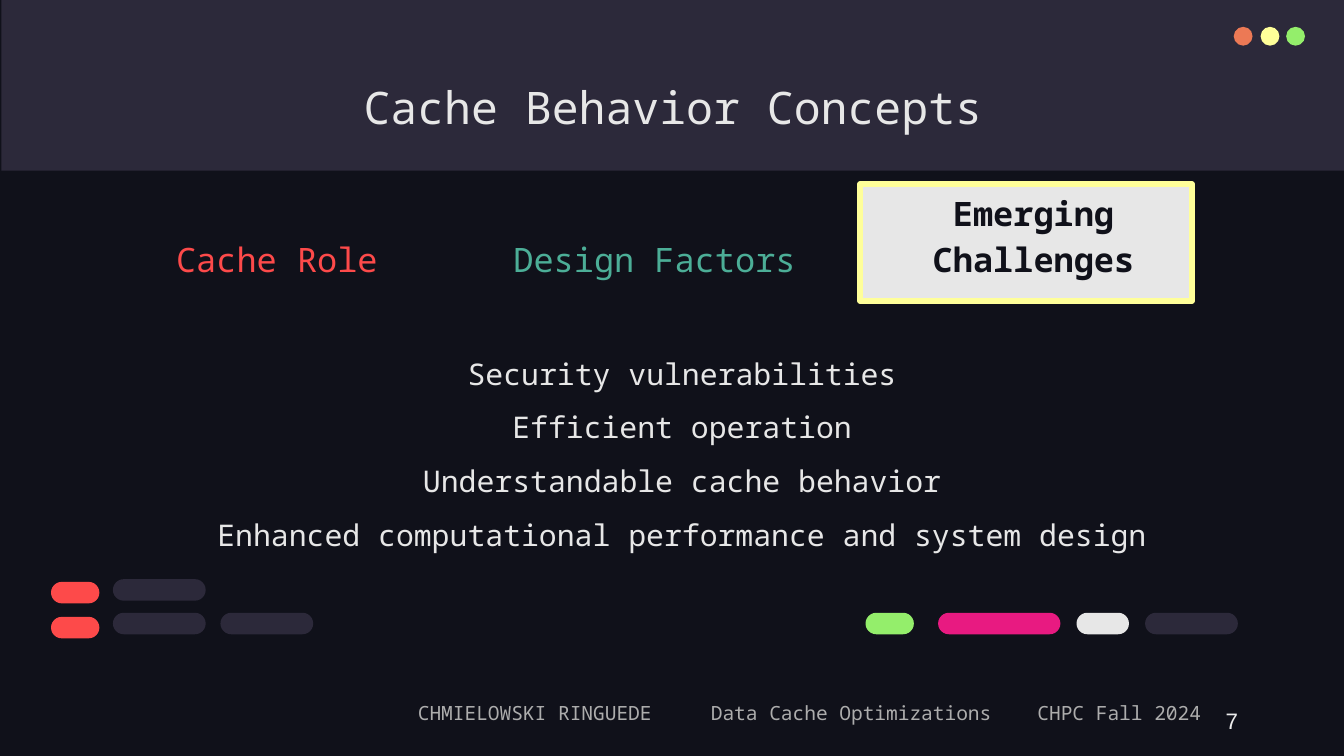
from pptx import Presentation
from pptx.dml.color import RGBColor
from pptx.enum.shapes import MSO_SHAPE
from pptx.enum.text import MSO_ANCHOR, MSO_AUTO_SIZE, PP_ALIGN
from pptx.oxml.ns import qn
from pptx.util import Inches, Pt
from lxml.etree import SubElement

WIDE = 10
HIGH = WIDE * 9 / 16
COLORS = {
    "night": "10111A", "slate": "2C293A", "light": "E7E7E7", "gray": "ADADAD",
    "orange": "EC7955", "yellow": "FFFF99", "green": "94EE6B", "red": "FD4A4A",
    "teal": "4CAE97", "pink": "E81A81", "page": "ECECEC",
}
MONO = "Noto Sans Mono"

TITLE = "Cache Behavior Concepts"
TABS = [
    (0.74, ["Cache Role"], "red", False),
    (3.55, ["Design Factors"], "teal", False),
    (6.37, ["Emerging", "Challenges"], "night", True),
]
POINTS = [
    "Security vulnerabilities",
    "Efficient operation",
    "Understandable cache behavior",
    "Enhanced computational performance and system design",
]
FOOTER = ["CHMIELOWSKI RINGUEDE", "Data Cache Optimizations", "CHPC Fall 2024"]
STOPS = [2.18, 4.61]
DOTS = [(9.18, "orange"), (9.38, "yellow"), (9.57, "green")]
PILLS = [
    (0.38, 4.33, 0.36, "red"),
    (0.38, 4.59, 0.36, "red"),
    (0.84, 4.56, 0.69, "slate"),
    (0.84, 4.31, 0.69, "slate"),
    (1.64, 4.56, 0.69, "slate"),
    (6.44, 4.56, 0.36, "green"),
    (6.98, 4.56, 0.91, "pink"),
    (8.01, 4.56, 0.39, "light"),
    (8.52, 4.56, 0.69, "slate"),
]


def paint(name):
    return RGBColor.from_string(COLORS[name])


def write(shape, lines, size=18, color="light", font=MONO, bold=False,
          align=PP_ALIGN.CENTER, anchor=MSO_ANCHOR.TOP, space=1.0,
          left=0.1, stops=()):
    frame = shape.text_frame
    frame.word_wrap = True
    frame.auto_size = MSO_AUTO_SIZE.NONE
    frame.vertical_anchor = anchor
    frame.margin_left = Inches(left)
    frame.margin_right = frame.margin_top = frame.margin_bottom = Inches(0.1)
    frame.text = "\n".join(lines)
    for para in frame.paragraphs:
        para.alignment = align
        para.line_spacing = space
        if stops:
            tabs = SubElement(para._p.get_or_add_pPr(), qn("a:tabLst"))
            for stop in stops:
                SubElement(tabs, qn("a:tab"), pos=str(Inches(stop)), algn="l")
        for run in para.runs:
            run.font.name = font
            run.font.size = Pt(size)
            run.font.bold = bold
            run.font.color.rgb = paint(color)


def draw(slide, kind, box, fill, line=None):
    shape = slide.shapes.add_shape(kind, *map(Inches, box))
    shape.shadow.inherit = False
    shape.fill.solid()
    shape.fill.fore_color.rgb = paint(fill)
    if line:
        shape.line.color.rgb = paint(line)
        shape.line.width = Pt(3)
    else:
        shape.line.fill.background()
    return shape


def label(slide, box, lines, **style):
    write(slide.shapes.add_textbox(*map(Inches, box)), lines, **style)


def main():
    deck = Presentation()
    deck.slide_width, deck.slide_height = Inches(WIDE), Inches(HIGH)
    slide = deck.slides.add_slide(deck.slide_layouts[5])
    slide.background.fill.solid()
    slide.background.fill.fore_color.rgb = paint("night")

    label(slide, (2.86, 5.09, 7, 0.4), ["\t".join(FOOTER)], size=10.5,
          color="gray", align=PP_ALIGN.LEFT, space=1.15, left=0.25, stops=STOPS)

    banner = draw(slide, MSO_SHAPE.RECTANGLE, (0.01, 0, WIDE, 1.27), "slate")
    title = slide.shapes.title
    title.element.addprevious(banner.element)
    title.left, title.top = Inches(0.79), Inches(0.49)
    title.width, title.height = Inches(8.43), Inches(0.63)
    write(title, [TITLE], size=24)

    for x, color in DOTS:
        draw(slide, MSO_SHAPE.OVAL, (x, 0.2, 0.14, 0.14), color)

    draw(slide, MSO_SHAPE.RECTANGLE, (6.4, 1.37, 2.47, 0.87), "light", "yellow")
    for x, lines, color, bold in TABS:
        label(slide, (x, 1.46, 2.64, 0.72), lines, color=color, bold=bold,
              anchor=MSO_ANCHOR.BOTTOM, space=1.15)

    label(slide, (1.26, 2.41, 7.48, 1.49), POINTS, size=16, space=1.5, left=0.25)

    for x, y, wide, color in PILLS:
        pill = draw(slide, MSO_SHAPE.ROUNDED_RECTANGLE, (x, y, wide, 0.16), color)
        pill.adjustments[0] = 0.5

    label(slide, (7.06, 5.21, 2.25, 0.3), ["7"], size=12, color="page",
          font="Arial", align=PP_ALIGN.RIGHT, anchor=MSO_ANCHOR.MIDDLE)

    deck.save("out.pptx")


if __name__ == "__main__":
    main()
